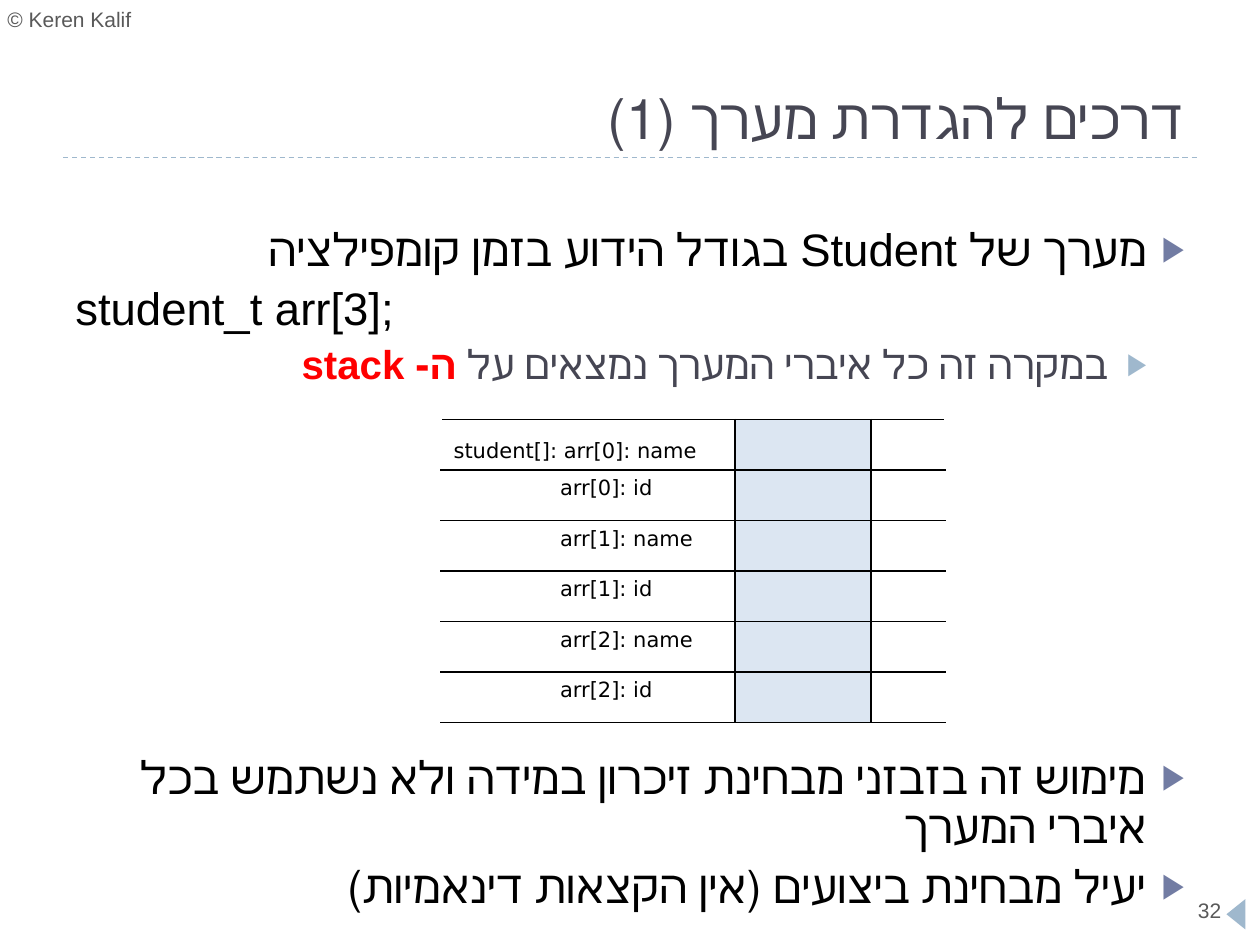
from collections import namedtuple
from dataclasses import dataclass

from lxml.etree import SubElement
from pptx import Presentation
from pptx.dml.color import RGBColor
from pptx.enum.dml import MSO_LINE
from pptx.enum.shapes import MSO_CONNECTOR, MSO_SHAPE
from pptx.enum.text import MSO_ANCHOR as Anchor, PP_ALIGN as Align
from pptx.oxml.ns import qn
from pptx.util import Cm, Pt

Box = namedtuple("Box", "left top width height")


@dataclass(frozen=True)
class Theme:
    font: str = "Arial"
    table_font: str = "DejaVu Sans"
    ink: str = "000000"
    heading: str = "464653"
    muted: str = "595959"
    accent: str = "727CA3"
    soft: str = "9FB8CD"
    alert: str = "FF0000"
    memory: str = "DCE6F2"
    title_size: int = 32
    body_size: int = 26
    sub_size: int = 23
    small_size: int = 12


THEME = Theme()


def lengths(box):
    return [Cm(value) for value in box]


def style(font, size, color, name=THEME.font):
    font.size, font.name = Pt(size), name
    font.color.rgb = RGBColor.from_string(color)


def add_frame(page, box, anchor=Anchor.TOP):
    frame = page.shapes.add_textbox(*lengths(box)).text_frame
    frame.word_wrap = True
    frame.vertical_anchor = anchor
    return frame


def set_rtl(para):
    para.alignment = Align.RIGHT
    para._p.get_or_add_pPr().set("rtl", "1")


def add_bullet(para, level, color):
    props = para._p.get_or_add_pPr()
    props.set("marL", str(Cm(0.76 * (level + 1))))
    props.set("marR", "0")
    props.set("indent", str(-Cm(0.76)))
    SubElement(SubElement(props, qn("a:buClr")), qn("a:srgbClr"), val=color)
    SubElement(props, qn("a:buSzPct"), val="76000")
    SubElement(props, qn("a:buFont"), typeface=THEME.font)
    SubElement(props, qn("a:buChar"), char="▶")


def add_title(page, box, text):
    para = add_frame(page, box, Anchor.BOTTOM).paragraphs[0]
    para.text = text
    set_rtl(para)
    style(para.font, THEME.title_size, THEME.heading)
    # Dashed rule under the title
    bottom, right = Cm(box.top + box.height), Cm(box.left + box.width)
    rule = page.shapes.add_connector(
        MSO_CONNECTOR.STRAIGHT, Cm(box.left + 0.38), bottom, right, bottom)
    rule.line.color.rgb = RGBColor.from_string(THEME.soft)
    rule.line.width = Pt(0.75)
    rule.line.dash_style = MSO_LINE.DASH
    SubElement(rule._element.spPr, qn("a:effectLst"))


def add_body(page, box, items):
    """Items are (kind, text, highlighted ending)."""
    frame = add_frame(page, box)
    for index, (kind, text, highlight) in enumerate(items):
        para = frame.add_paragraph() if index else frame.paragraphs[0]
        para.add_run().text = text
        if highlight:
            span = para.add_run()
            span.text = highlight
            span.font.bold = True
            span.font.color.rgb = RGBColor.from_string(THEME.alert)
        sub = kind == "sub"
        if kind != "code":
            set_rtl(para)
            add_bullet(para, int(sub), THEME.soft if sub else THEME.accent)
        para.line_spacing = 0.9
        if index:
            para.space_before = Pt(5 if sub else 6)
        style(para.font, THEME.sub_size if sub else THEME.body_size,
              THEME.heading if sub else THEME.ink)


def add_borders(cell, sides):
    props = cell._tc.get_or_add_tcPr()
    for side in sides:
        line = SubElement(props, qn(f"a:ln{side}"), w=str(Pt(1)))
        fill = SubElement(line, qn("a:solidFill"))
        SubElement(fill, qn("a:srgbClr"), val=THEME.ink)


def add_memory_table(page, box, labels):
    table = page.shapes.add_table(len(labels), 3, *lengths(box)).table
    table.first_row = table.horz_banding = False
    for column, share in zip(table.columns, (0.583, 0.27, 0.147)):
        column.width = Cm(box.width * share)
    for index, label in enumerate(labels):
        table.rows[index].height = Cm(box.height / len(labels))
        for column, sides in enumerate(("RTB", "LRTB", "LTB")):
            cell = table.cell(index, column)
            add_borders(cell, sides)
            if column == 1:
                cell.fill.solid()
                cell.fill.fore_color.rgb = RGBColor.from_string(THEME.memory)
            else:
                cell.fill.background()
        # Labels after the first line up under its array element
        name = table.cell(index, 0)
        name.text = label
        if index:
            name.margin_left = Cm(2.4)
        else:
            name.vertical_anchor = Anchor.BOTTOM
        style(name.text_frame.paragraphs[0].font, THEME.small_size,
              THEME.ink, THEME.table_font)


def add_small_text(page, box, text):
    para = add_frame(page, box).paragraphs[0]
    para.text = text
    style(para.font, THEME.small_size, THEME.muted)


def add_page_number(page, box, number):
    add_small_text(page, box, number)
    marker = page.shapes.add_shape(
        MSO_SHAPE.ISOSCELES_TRIANGLE,
        *lengths(Box(box.left + 0.71, box.top + 0.28, 0.61, 0.38)))
    marker.rotation = 270
    marker.shadow.inherit = False
    marker.fill.solid()
    marker.fill.fore_color.rgb = RGBColor.from_string(THEME.soft)
    marker.line.fill.background()


def main():
    deck = Presentation()
    deck.slide_width, deck.slide_height = Cm(25.4), Cm(19.05)
    page = deck.slides.add_slide(deck.slide_layouts[6])

    # Header and footer
    add_small_text(page, Box(-0.1, 0, 3.81, 0.76), "© Keren Kalif")
    add_page_number(page, Box(23.9, 17.96, 1.19, 0.76), "32")

    # Title and points
    add_title(page, Box(0.89, 0.43, 23.24, 2.74), "דרכים להגדרת מערך (1)")
    add_body(page, Box(1.27, 4.45, 22.86, 3.7), [
        ("point", "מערך של Student בגודל הידוע בזמן קומפילציה", ""),
        ("code", "student_t arr[3];", ""),
        ("sub", "במקרה זה כל איברי המערך נמצאים על ", "ה- stack"),
    ])
    add_body(page, Box(1.27, 15.1, 22.86, 3.7), [
        ("point", "מימוש זה בזבזני מבחינת זיכרון במידה ולא נשתמש בכל "
                  "איברי המערך", ""),
        ("point", "יעיל מבחינת ביצועים (אין הקצאות דינאמיות)", ""),
    ])

    # Memory layout of the array
    fields = [f"arr[{item}]: {field}"
              for item in range(3) for field in ("name", "id")]
    fields[0] = f"student[]: {fields[0]}"
    add_memory_table(page, Box(8.89, 8.46, 10.16, 6.1), fields)

    deck.save("out.pptx")


if __name__ == "__main__":
    main()
